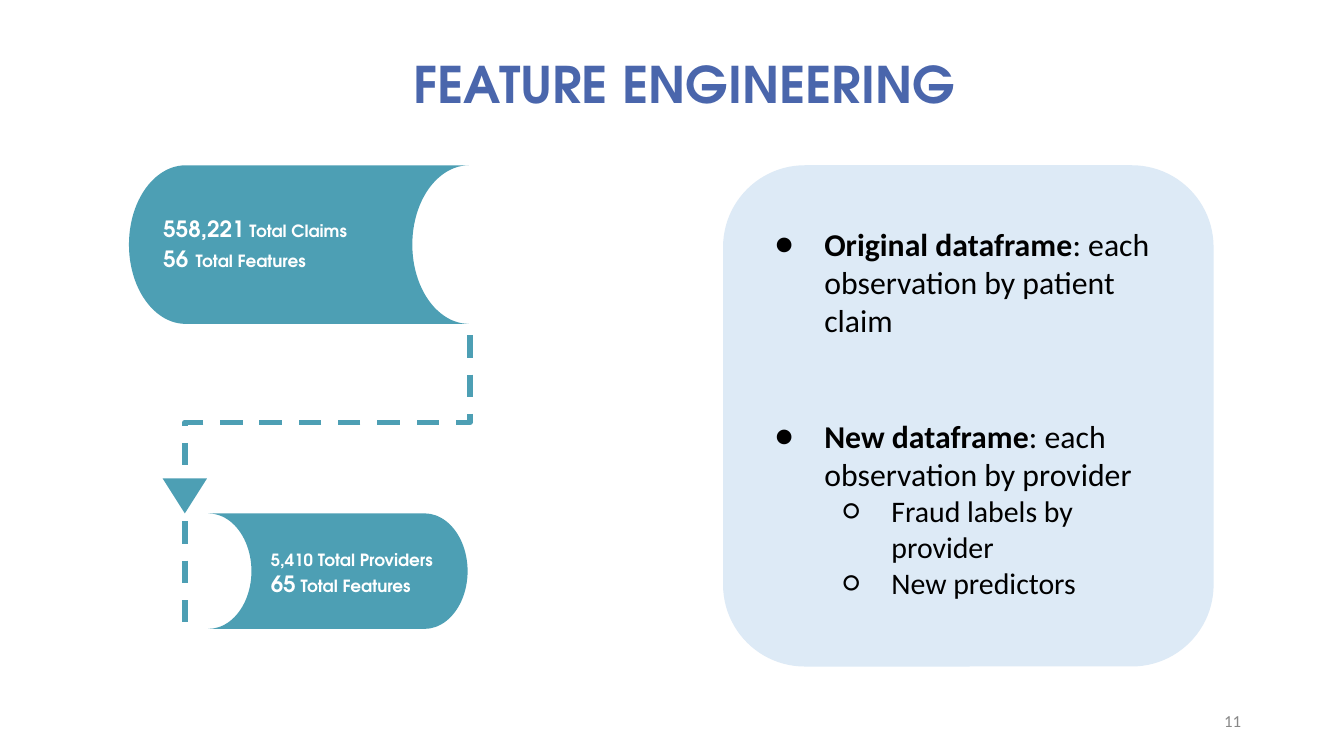
from dataclasses import dataclass

import lxml.etree
import pptx
import pptx.dml.color
import pptx.enum.dml
import pptx.enum.shapes
import pptx.enum.text
import pptx.oxml.ns
import pptx.util

SHAPE = pptx.enum.shapes.MSO_SHAPE
ALIGN = pptx.enum.text.PP_ALIGN
ANCHOR = pptx.enum.text.MSO_ANCHOR
qn = pptx.oxml.ns.qn


@dataclass(frozen=True)
class Theme:
    """Colours, fonts and type sizes of the slide."""
    teal: str = "4D9FB4"
    panel: str = "DDEAF6"
    title: str = "4A66AC"
    ink: str = "000000"
    light: str = "FFFFFF"
    muted: str = "888888"
    display: str = "TeX Gyre Adventor"
    body: str = "Calibri"
    title_size: int = 27
    point_size: int = 17
    subpoint_size: int = 16
    figure_size: int = 12
    spacer_size: int = 14
    small_size: int = 9


class SlideBuilder:
    """Places styled elements on a grid of 100 columns across the slide."""

    def __init__(self, deck, theme):
        self.theme = theme
        self.unit = deck.slide_width / 100
        self.page = deck.slides.add_slide(deck.slide_layouts[5])

    def grid(self, *lengths):
        """Turn grid units into slide lengths."""
        return [pptx.util.Emu(round(length * self.unit)) for length in lengths]

    def colour(self, value):
        """Turn a theme colour into an RGB colour."""
        return pptx.dml.color.RGBColor.from_string(value)

    def frame(self, box, anchor=ANCHOR.TOP, top=0.4):
        """Prepare the text frame of a box."""
        frame = box.text_frame
        frame.word_wrap = True
        frame.auto_size = pptx.enum.text.MSO_AUTO_SIZE.NONE
        frame.vertical_anchor = anchor
        (frame.margin_left, frame.margin_right, frame.margin_top,
         frame.margin_bottom) = self.grid(0.75, 0.75, top, 0.4)
        return frame

    def spans(self, para, parts, font, colour):
        """Write (text, size, bold) parts into a paragraph."""
        for text, size, bold in parts:
            span = para.add_run()
            span.text = text
            span.font.name = font
            span.font.size = pptx.util.Pt(size)
            span.font.bold = bold
            span.font.color.rgb = self.colour(colour)

    def lines(self, frame, rows, font, colour, align=ALIGN.LEFT):
        """Write one paragraph per row and return the paragraphs."""
        paras = []
        for index, parts in enumerate(rows):
            para = frame.add_paragraph() if index else frame.paragraphs[0]
            para.alignment = align
            self.spans(para, parts, font, colour)
            paras.append(para)
        return paras

    def title(self, place, text):
        """Move, fill and format the title placeholder."""
        box = self.page.shapes.title
        box.left, box.top, box.width, box.height = self.grid(*place)
        rows = [[(text, self.theme.title_size, True)]]
        paras = self.lines(self.frame(box, ANCHOR.MIDDLE), rows,
                           self.theme.display, self.theme.title, ALIGN.CENTER)
        paras[0].line_spacing = 0.9

    def text(self, place, rows, font, colour, align=ALIGN.LEFT, anchor=ANCHOR.TOP):
        """Add a text box."""
        box = self.page.shapes.add_textbox(*self.grid(*place))
        self.lines(self.frame(box, anchor), rows, font, colour, align)

    def shape(self, kind, place, fill, rotation=0, flip=False):
        """Add a filled shape without outline."""
        shape = self.page.shapes.add_shape(kind, *self.grid(*place))
        shape.shadow.inherit = False
        shape.fill.solid()
        shape.fill.fore_color.rgb = self.colour(fill)
        shape.line.fill.background()
        shape.rotation = rotation
        if flip:
            shape._element.spPr.find(qn("a:xfrm")).set("flipH", "1")
        return shape

    def dashed_elbow(self, place, bend):
        """Add a dashed elbow connector turned to run downwards."""
        left, top, width, height = self.grid(*place)
        link = self.page.shapes.add_connector(
            pptx.enum.shapes.MSO_CONNECTOR.ELBOW, left, top, left + width, top + height)
        link.line.color.rgb = self.colour(self.theme.teal)
        link.line.width = pptx.util.Pt(3)
        link.line.dash_style = pptx.enum.dml.MSO_LINE.DASH
        properties = link._element.spPr
        properties.find(qn("a:xfrm")).set("rot", str(90 * 60000))
        guides = properties.find(qn("a:prstGeom")).find(qn("a:avLst"))
        lxml.etree.SubElement(guides, qn("a:gd"), name="adj1", fmla=f"val {round(bend * 100000)}")
        lxml.etree.SubElement(properties, qn("a:effectLst"))

    def bullet(self, para, level, mark, margin, hang):
        """Give a paragraph a hanging bullet."""
        para.level = level
        properties = para._p.get_or_add_pPr()
        margin, hang = self.grid(margin, hang)
        properties.set("marL", str(margin))
        properties.set("indent", str(-hang))
        tint = lxml.etree.SubElement(properties, qn("a:buClr"))
        lxml.etree.SubElement(tint, qn("a:srgbClr"), val=self.theme.ink)
        lxml.etree.SubElement(properties, qn("a:buFont"), typeface=self.theme.body)
        lxml.etree.SubElement(properties, qn("a:buChar"), char=mark)

    def bullet_panel(self, place, points):
        """Add a rounded panel of (level, gap before, parts) points."""
        panel = self.shape(SHAPE.ROUNDED_RECTANGLE, place, self.theme.panel)
        rows = [parts for _, _, parts in points]
        paras = self.lines(self.frame(panel, top=2.65), rows, self.theme.body, self.theme.ink)
        styles = [("●", 5, 3.7), ("○", 10, 3.6)]
        for para, (level, gap, _) in zip(paras, points):
            self.bullet(para, level, *styles[level])
            if gap:
                para.space_before = pptx.util.Pt(gap)


def main():
    """Build and save the feature engineering slide."""
    deck = pptx.Presentation()
    deck.slide_width = pptx.util.Inches(10)
    deck.slide_height = deck.slide_width * 9 // 16
    theme = Theme()
    slide = SlideBuilder(deck, theme)
    figure, spacer, small = theme.figure_size, theme.spacer_size, theme.small_size
    point, subpoint = theme.point_size, theme.subpoint_size

    slide.title((7, 3.3, 87.8, 6.4), "FEATURE ENGINEERING")

    slide.shape(SHAPE.FLOWCHART_STORED_DATA, (9.6, 12.3, 25.3, 11.8), theme.teal)
    claims = [
        [("558,221", figure, True), (" Total Claims", small, True)],
        [("56", figure, True), (" ", spacer, True), ("Total Features", small, True)],
    ]
    slide.text((11.4, 15.6, 30.3, 9.4), claims, theme.display, theme.light)

    slide.dashed_elbow((13.1, 25.6, 22.5, 21.2), 0.288)

    slide.shape(SHAPE.FLOWCHART_STORED_DATA, (15.5, 38.2, 19.3, 8.6), theme.teal, flip=True)
    providers = [
        [("5,410 Total Providers", small, True)],
        [("65", figure, True), (" Total Features", small, True)],
    ]
    slide.text((19.4, 40.5, 17.4, 7.8), providers, theme.display, theme.light)
    slide.shape(SHAPE.ISOSCELES_TRIANGLE, (12.1, 35.6, 3.3, 2.6), theme.teal, rotation=180)

    slide.bullet_panel((53.8, 12.3, 36.5, 37.3), [
        (0, 0, [("Original dataframe", point, True),
                (": each observation by patient claim", point, False)]),
        (0, 41.5, [("New dataframe", point, True),
                   (": each observation by provider", point, False)]),
        (1, 0, [("Fraud labels by provider", subpoint, False)]),
        (1, 0, [("New predictors", subpoint, False)]),
    ])

    slide.text((70.6, 52.1, 22.5, 3), [[("11", small, False)]], theme.body, theme.muted,
               ALIGN.RIGHT, ANCHOR.MIDDLE)
    deck.save("out.pptx")


if __name__ == "__main__":
    main()
